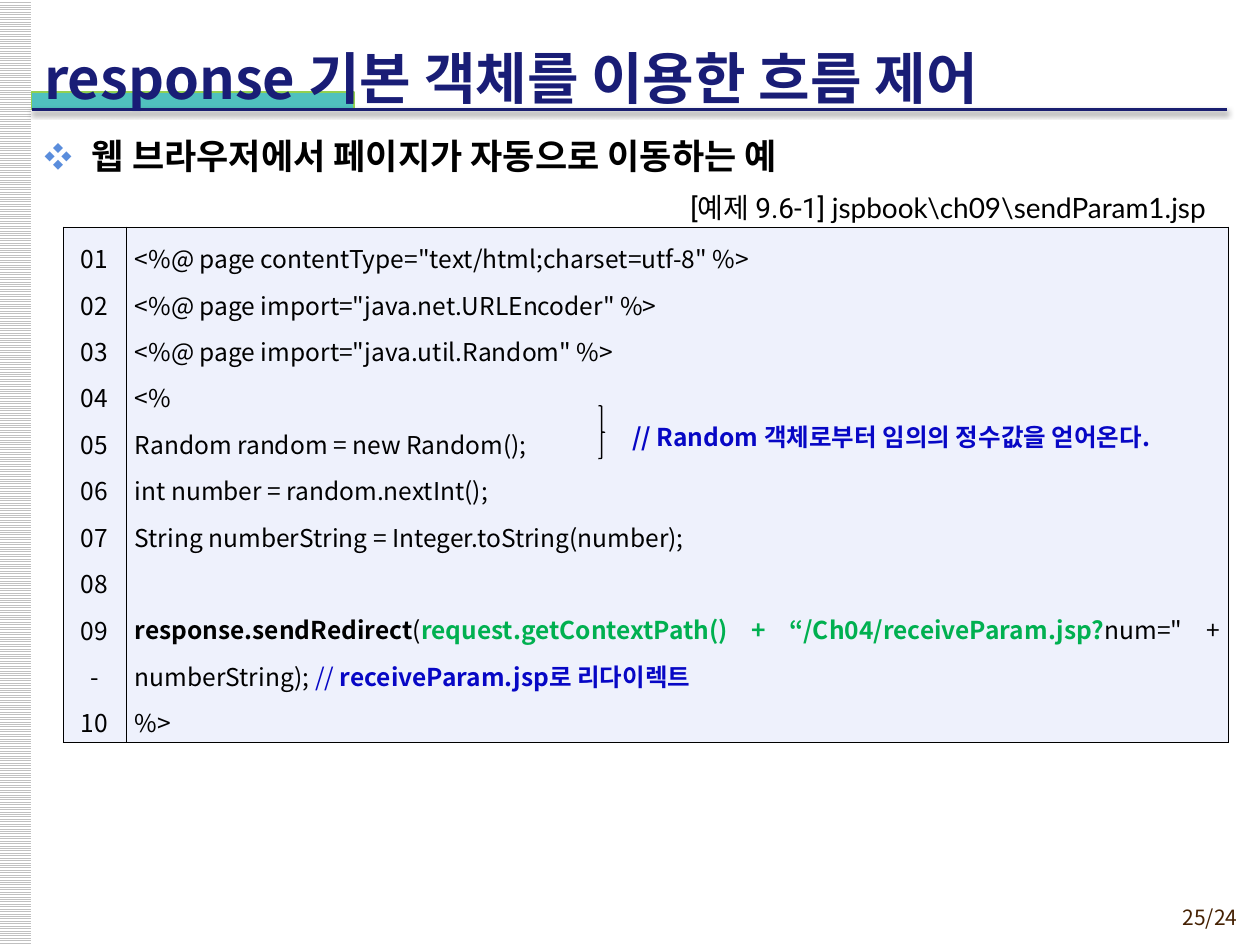
import pptx
import pptx.util
import pptx.dml.color
import pptx.enum.dml
import pptx.enum.shapes
import pptx.enum.text
import pptx.oxml.ns
from lxml import etree

Inches, Pt = pptx.util.Inches, pptx.util.Pt
RGBColor = pptx.dml.color.RGBColor
SHAPE = pptx.enum.shapes.MSO_SHAPE
ALIGN = pptx.enum.text.PP_ALIGN
ANCHOR = pptx.enum.text.MSO_ANCHOR
SIZE = pptx.enum.text.MSO_AUTO_SIZE
qn = pptx.oxml.ns.qn

BLACK = RGBColor(0x00, 0x00, 0x00)
WHITE = RGBColor(0xFF, 0xFF, 0xFF)
GRAY = RGBColor(0xC0, 0xC0, 0xC0)
BROWN = RGBColor(0x45, 0x21, 0x03)
TEAL = RGBColor(0x50, 0xC1, 0xBE)
LIME = RGBColor(0x92, 0xD0, 0x50)
NAVY = RGBColor(0x19, 0x1E, 0x70)
INDIGO = RGBColor(0x19, 0x1D, 0x76)
SKY = RGBColor(0x5A, 0x8D, 0xDC)
PALE = RGBColor(0xEE, 0xF1, 0xFC)
GREEN = RGBColor(0x00, 0xB0, 0x50)
BLUE = RGBColor(0x07, 0x07, 0xC5)
NOTO = "Noto Sans CJK KR"

HEAD = [
    '<%@ page contentType="text/html;charset=utf-8" %>',
    '<%@ page import="java.net.URLEncoder" %>',
    '<%@ page import="java.util.Random" %>',
    "<%",
    "Random random = new Random();",
    "int number = random.nextInt();",
    "String numberString = Integer.toString(number);",
]
SEND = [
    ("response.sendRedirect", BLACK, True),
    ("(", BLACK, False),
    ("request.getContextPath() + “/Ch04/receiveParam.jsp?", GREEN, True),
    ('num=" + numberString); ', BLACK, False),
    ("// ", BLUE, False),
    ("receiveParam.jsp로 리다이렉트", BLUE, True),
]
CODE = [[(line, BLACK, False)] for line in HEAD] + [SEND, [("%>", BLACK, False)]]
MARKS = [f"{n:02}" for n in range(1, 10)] + ["-", "10"]


def add_node(parent, tag, **attrs):
    """Append a DrawingML element to its parent."""
    return etree.SubElement(parent, qn(tag), attrs)


def add_run(para, text, size, color=BLACK, bold=False, face=NOTO):
    """Add one styled run to a paragraph."""
    run = para.add_run()
    run.text = text
    font = run.font
    font.size, font.bold, font.name = Pt(size), bold, face
    font.color.rgb = color
    add_node(font._element, "a:ea", typeface=NOTO)


def add_label(slide, box, wrap=True, align=ALIGN.LEFT):
    """Add a text box and return its first paragraph."""
    frame = slide.shapes.add_textbox(*box).text_frame
    frame.word_wrap = wrap
    frame.paragraphs[0].alignment = align
    return frame.paragraphs[0]


def add_side(slide, left, top, width, height):
    """Draw the striped band on the side."""
    band = slide.shapes.add_shape(SHAPE.RECTANGLE, left, top, width, height)
    band.shadow.inherit = False
    band.fill.patterned()
    band.fill.pattern = pptx.enum.dml.MSO_PATTERN.LIGHT_HORIZONTAL
    band.fill.fore_color.rgb, band.fill.back_color.rgb = GRAY, WHITE
    band.line.fill.background()


def add_rule(slide, left, top, width, height):
    """Draw the teal bar and the navy rule below it."""
    bar = slide.shapes.add_shape(SHAPE.RECTANGLE, left, top, Inches(2.56), height)
    bar.shadow.inherit = False
    bar.fill.solid()
    bar.fill.fore_color.rgb = TEAL
    bar.line.color.rgb, bar.line.width = LIME, Pt(0.75)
    base = top + height
    kind = pptx.enum.shapes.MSO_CONNECTOR.STRAIGHT
    rule = slide.shapes.add_connector(kind, left, base, left + width, base)
    rule.line.color.rgb, rule.line.width = NAVY, Pt(2)
    effects = add_node(rule.element.spPr, "a:effectLst")
    shade = add_node(effects, "a:outerShdw", blurRad=str(Pt(3.1)),
                     dist=str(Pt(1.6)), dir="5400000", rotWithShape="0")
    add_node(add_node(shade, "a:srgbClr", val=str(BLACK)), "a:alpha", val="38000")


def set_holder(slide, holder, box, anchor):
    """Move a placeholder to the front of its box and return its paragraph."""
    holder.left, holder.top, holder.width, holder.height = box
    slide.shapes.element.append(holder.element)
    frame = holder.text_frame
    frame.auto_size, frame.vertical_anchor = SIZE.NONE, anchor
    return frame.paragraphs[0]


def add_title(slide, *box):
    """Fill the title."""
    para = set_holder(slide, slide.shapes.title, box, ANCHOR.MIDDLE)
    para.alignment = ALIGN.LEFT
    add_run(para, "response 기본 객체를 이용한 흐름 제어", 32, INDIGO, True)


def add_body(slide, *box):
    """Fill the bulleted body."""
    para = set_holder(slide, slide.placeholders[1], box, ANCHOR.TOP)
    para.space_before, para.space_after = Pt(4), Pt(1)
    props = para._p.get_or_add_pPr()
    props.set("marL", str(Inches(0.38)))
    props.set("indent", str(-Inches(0.38)))
    add_node(add_node(props, "a:buClr"), "a:srgbClr", val=str(SKY))
    add_node(props, "a:buSzPct", val="80000")
    add_node(props, "a:buFont", typeface=NOTO)
    add_node(props, "a:buChar", char="❖")
    add_run(para, "웹 브라우저에서 페이지가 자동으로 이동하는 예", 20, BLACK, True, "Arial")


def add_cell(cell, lines, align):
    """Fill and frame one table cell with lines of runs."""
    cell.fill.solid()
    cell.fill.fore_color.rgb = PALE
    cell.vertical_anchor = ANCHOR.MIDDLE
    cell.margin_left = cell.margin_right = Inches(0.07)
    cell.margin_top = cell.margin_bottom = Inches(0.02)
    props = cell._tc.get_or_add_tcPr()
    for spot, tag in enumerate(("a:lnL", "a:lnR", "a:lnT", "a:lnB")):
        edge = add_node(props, tag, w=str(Pt(0.28)))
        add_node(add_node(edge, "a:solidFill"), "a:srgbClr", val=str(BLACK))
        props.insert(spot, edge)
    frame = cell.text_frame
    for row, line in enumerate(lines):
        para = frame.add_paragraph() if row else frame.paragraphs[0]
        para.alignment, para.line_spacing = align, 1.3
        if line is SEND:
            para.space_before = Pt(26.5)
        for text, color, bold in line:
            add_run(para, text, 14, color, bold)


def add_code(slide, left, top, width, height):
    """Build the numbered code listing with its caption and remark."""
    para = add_label(slide, (Inches(3), top - Inches(0.34), Inches(6.67), Inches(0.37)),
                     align=ALIGN.RIGHT)
    add_run(para, "[예제 9.6-1] ", 16, face="Roboto")
    add_run(para, r"jspbook\ch09\sendParam1.jsp", 16, face="Lato")
    table = slide.shapes.add_table(1, 2, left, top, width, height).table
    table.first_row = table.horz_banding = False
    table.columns[0].width = Inches(0.5)
    table.columns[1].width = width - Inches(0.5)
    add_cell(table.cell(0, 0), [[(mark, BLACK, False)] for mark in MARKS], ALIGN.CENTER)
    add_cell(table.cell(0, 1), CODE, ALIGN.JUSTIFY)
    brace = slide.shapes.add_shape(SHAPE.RIGHT_BRACE, left + Inches(4.25),
                                   top + Inches(1.42), Inches(0.05), Inches(0.42))
    brace.shadow.inherit = False
    brace.adjustments[0] = 0.08
    brace.fill.background()
    brace.line.color.rgb, brace.line.width = BLACK, Pt(0.75)
    note = (left + Inches(4.42), top + Inches(1.5), Inches(4.69), Inches(0.34))
    para = add_label(slide, note, wrap=False)
    add_run(para, "// Random 객체로부터 임의의 정수값을 얻어온다.", 14, BLUE, True)


def main():
    """Build and save the slide."""
    deck = pptx.Presentation()
    deck.slide_width, deck.slide_height = Inches(10), Inches(7.5)
    slide = deck.slides.add_slide(deck.slide_layouts[1])
    add_side(slide, Inches(-0.01), 0, Inches(0.26), Inches(7.5))
    page = (Inches(8.86), Inches(7.13), Inches(1.06), Inches(0.29))
    add_run(add_label(slide, page, align=ALIGN.RIGHT), "25/24", 12, BROWN)
    add_rule(slide, Inches(0.25), Inches(0.73), Inches(9.49), Inches(0.14))
    add_title(slide, Inches(0.25), Inches(0.28), Inches(9.42), Inches(0.67))
    add_body(slide, Inches(0.25), Inches(1.02), Inches(9.5), Inches(6.25))
    add_code(slide, Inches(0.5), Inches(1.8), Inches(9.25), Inches(4.09))
    deck.save("out.pptx")


if __name__ == "__main__":
    main()
